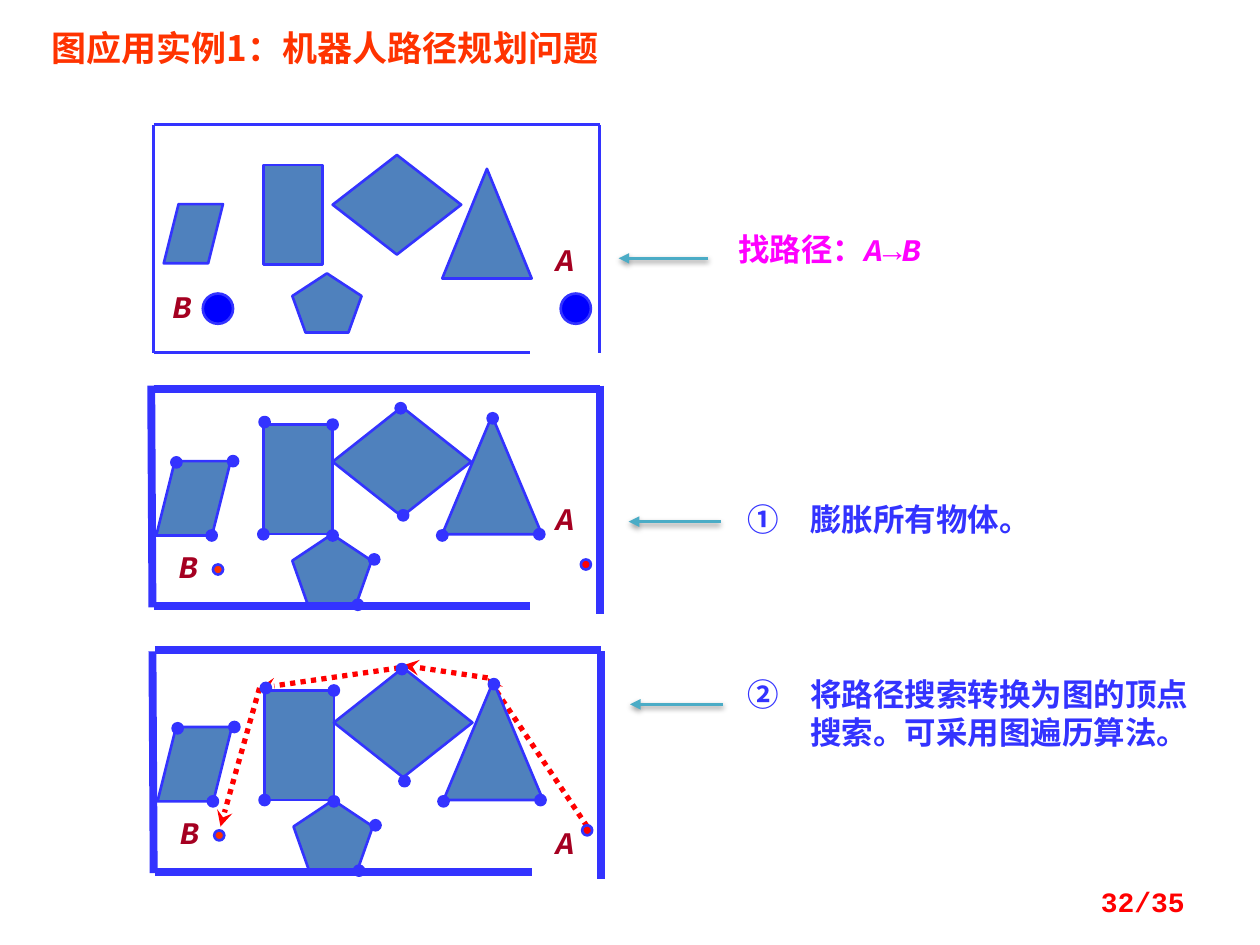
from dataclasses import dataclass

from lxml import etree
from pptx import Presentation
from pptx import util as u
from pptx.dml.color import RGBColor
from pptx.enum import dml, shapes, text
from pptx.oxml.ns import qn

PX = 9144  # 100 px to the inch


@dataclass(frozen=True)
class Theme:
    title: str = "FF3300"
    task: str = "FF00FF"
    ink: str = "3333FF"
    letter: str = "A50021"
    obstacle: str = "4F81BD"
    robot: str = "0000FF"
    route: str = "FF0000"
    pointer: str = "4BACC6"
    latin: str = "Courier New"
    cjk: str = "Noto Sans CJK SC"
    title_size: int = 20
    text_size: int = 18
    page_size: int = 16


THEME = Theme()
KIND = shapes.MSO_SHAPE

OPEN_WALLS = [(0, 0, 0, 181), (0, 0, 354, 0), (354, 0, 354, 181), (0, 181, 299, 181)]
OPEN_OBSTACLES = [
    (KIND.RECTANGLE, 87, 32, 47, 79),
    (KIND.DIAMOND, 142, 24, 102, 79),
    (KIND.REGULAR_PENTAGON, 110, 118, 55, 47),
    (KIND.ISOSCELES_TRIANGLE, 229, 35, 71, 87),
    (KIND.PARALLELOGRAM, 8, 63, 47, 47),
]


def grown_walls(lift):
    return [(0, 0, 1, 176), (2, 3 - lift, 356, 3 - lift),
            (356, 0, 356, 181), (2, 175, 301, 175)]


def grown_obstacles(lift):
    return [
        (KIND.RECTANGLE, 89, 31, 55, 87),
        (KIND.DIAMOND, 144, 17 - lift, 110, 87),
        (KIND.REGULAR_PENTAGON, 112, 118, 63, 55),
        (KIND.ISOSCELES_TRIANGLE, 231, 24, 79, 94),
        (KIND.PARALLELOGRAM, 4, 60, 59, 59),
    ]


def vertices(lift):
    return [(308, 118), (271, 26), (198, 18 - lift), (144, 31), (90, 29),
            (164, 174), (177, 138), (231, 119), (200, 103), (89, 118),
            (144, 119), (65, 60), (48, 119), (20, 61)]


def rgb(color):
    return RGBColor.from_string(color)


def px(*lengths):
    return [length * PX for length in lengths]


def add_run(paragraph, words, color, size, latin=THEME.latin, italic=None):
    run = paragraph.add_run()
    run.text = words
    font = run.font
    font.size, font.bold, font.italic = u.Pt(size), True, italic
    font.color.rgb = rgb(color)
    font.name = latin
    east_asian = etree.SubElement(run._r.get_or_add_rPr(), qn("a:ea"))
    east_asian.set("typeface", THEME.cjk)


def add_text_box(parent, box, align=text.PP_ALIGN.LEFT):
    """Return the frame and first paragraph of a new wrapping text box."""
    frame = parent.shapes.add_textbox(*px(*box)).text_frame
    frame.word_wrap = True
    frame.paragraphs[0].alignment = align
    return frame, frame.paragraphs[0]


def fill_placeholder(holder, box):
    """Move a placeholder and return its first paragraph, ready for runs."""
    holder.left, holder.top, holder.width, holder.height = px(*box)
    frame = holder.text_frame
    frame.word_wrap = True
    frame.auto_size = text.MSO_AUTO_SIZE.NONE
    frame.vertical_anchor = text.MSO_ANCHOR.TOP
    paragraph = frame.paragraphs[0]
    paragraph.alignment = text.PP_ALIGN.LEFT
    paragraph.space_before = u.Pt(0)
    return paragraph


def add_line(parent, ends, color, width, arrow=None, dotted=False, shadow=False):
    line = parent.shapes.add_connector(shapes.MSO_CONNECTOR.STRAIGHT, *px(*ends))
    line.line.color.rgb = rgb(color)
    line.line.width = u.Pt(width)
    if dotted:
        line.line.dash_style = dml.MSO_LINE.ROUND_DOT
    properties = line._element.spPr
    if arrow:
        etree.SubElement(properties.find(qn("a:ln")), qn("a:tailEnd")).set("type", arrow)
    effects = etree.SubElement(properties, qn("a:effectLst"))
    if shadow:
        outer = etree.SubElement(effects, qn("a:outerShdw"), blurRad="40000",
                                 dist="20000", dir="5400000", rotWithShape="0")
        black = etree.SubElement(outer, qn("a:srgbClr"), val="000000")
        etree.SubElement(black, qn("a:alpha"), val="38000")


def add_figure(parent, kind, box, color):
    figure = parent.shapes.add_shape(kind, *px(*box))
    figure.shadow.inherit = False
    figure.fill.solid()
    figure.fill.fore_color.rgb = rgb(color)
    figure.line.color.rgb = rgb(THEME.ink)
    figure.line.width = u.Pt(1.5)


def add_dot(parent, x, y, radius, color):
    add_figure(parent, KIND.OVAL, (x - radius, y - radius, 2 * radius, 2 * radius), color)


def draw_map(slide, origin, walls, wall_width, obstacles, spots, radius, letters, corners=()):
    """Draw one room; spots holds (x, y, color), letters maps a letter to its place."""
    left, top = origin
    room = slide.shapes.add_group_shape()
    for x1, y1, x2, y2 in walls:
        add_line(room, (left + x1, top + y1, left + x2, top + y2), THEME.ink, wall_width)
    for kind, x, y, width, height in obstacles:
        add_figure(room, kind, (left + x, top + y, width, height), THEME.obstacle)
    for letter, (x, y) in letters.items():
        _, paragraph = add_text_box(room, (left + x, top + y, 39, 40), text.PP_ALIGN.CENTER)
        add_run(paragraph, letter, THEME.letter, THEME.text_size, italic=True)
    for x, y, color in spots:
        add_dot(room, left + x, top + y, radius, color)
    for x, y in corners:
        add_dot(room, left + x, top + y, 4, THEME.ink)


def draw_grown_map(slide, origin, letter_a, lift=0):
    draw_map(slide, origin, grown_walls(lift), 4.5, grown_obstacles(lift),
             [(345, 142, THEME.route), (53, 146, THEME.title)], 4,
             {"A": letter_a, "B": (10, 123)}, vertices(lift))


def draw_route(slide):
    legs = [(466, 656, 387, 538), (387, 538, 320, 528),
            (317, 530, 206, 546), (206, 546, 175, 656)]
    for leg in legs:
        add_line(slide, leg, THEME.route, 3, arrow="stealth", dotted=True)


def write_title(slide, box):
    add_run(fill_placeholder(slide.shapes.title, box), "图应用实例1：机器人路径规划问题",
            THEME.title, THEME.title_size, latin=THEME.cjk)


def write_task(slide, box):
    _, paragraph = add_text_box(slide, box)
    for words, italic in [("找路径：", None), ("A", True), ("→", False), ("B", True)]:
        add_run(paragraph, words, THEME.task, THEME.text_size, italic=italic)


def write_step(holder, box, number, words):
    paragraph = fill_placeholder(holder, box)
    layout = paragraph._p.get_or_add_pPr()
    layout.set("marL", str(50 * PX))
    layout.set("indent", str(-50 * PX))
    etree.SubElement(layout, qn("a:buAutoNum"), type="circleNumDbPlain", startAt=str(number))
    add_run(paragraph, words, THEME.ink, THEME.text_size)


def write_page_number(slide, box):
    frame, paragraph = add_text_box(slide, box, text.PP_ALIGN.RIGHT)
    frame.vertical_anchor = text.MSO_ANCHOR.MIDDLE
    add_run(paragraph, "32/35", THEME.route, THEME.page_size)


def main():
    deck = Presentation()
    deck.slide_width, deck.slide_height = px(1000, 750)
    slide = deck.slides.add_slide(deck.slide_layouts[3])
    write_title(slide, (31, 16, 617, 44))
    write_task(slide, (576, 178, 323, 40))
    write_step(slide.placeholders[1], (583, 392, 300, 40), 1, "膨胀所有物体。")
    write_step(slide.placeholders[2], (583, 531, 386, 71), 2,
               "将路径搜索转换为图的顶点搜索。可采用图遍历算法。")
    draw_route(slide)
    draw_grown_map(slide, (120, 306), (309, 85))
    draw_grown_map(slide, (121, 517), (308, 131), lift=4)
    draw_map(slide, (122, 99), OPEN_WALLS, 1.5, OPEN_OBSTACLES,
             [(335, 146, THEME.robot), (51, 146, THEME.robot)], 12,
             {"A": (307, 87), "B": (3, 124)})
    for start, end, y in [(562, 491, 205), (572, 499, 414), (574, 500, 559)]:
        add_line(slide, (start, y, end, y), THEME.pointer, 2, arrow="triangle", shadow=True)
    write_page_number(slide, (717, 695, 233, 40))
    deck.save("out.pptx")


if __name__ == "__main__":
    main()
